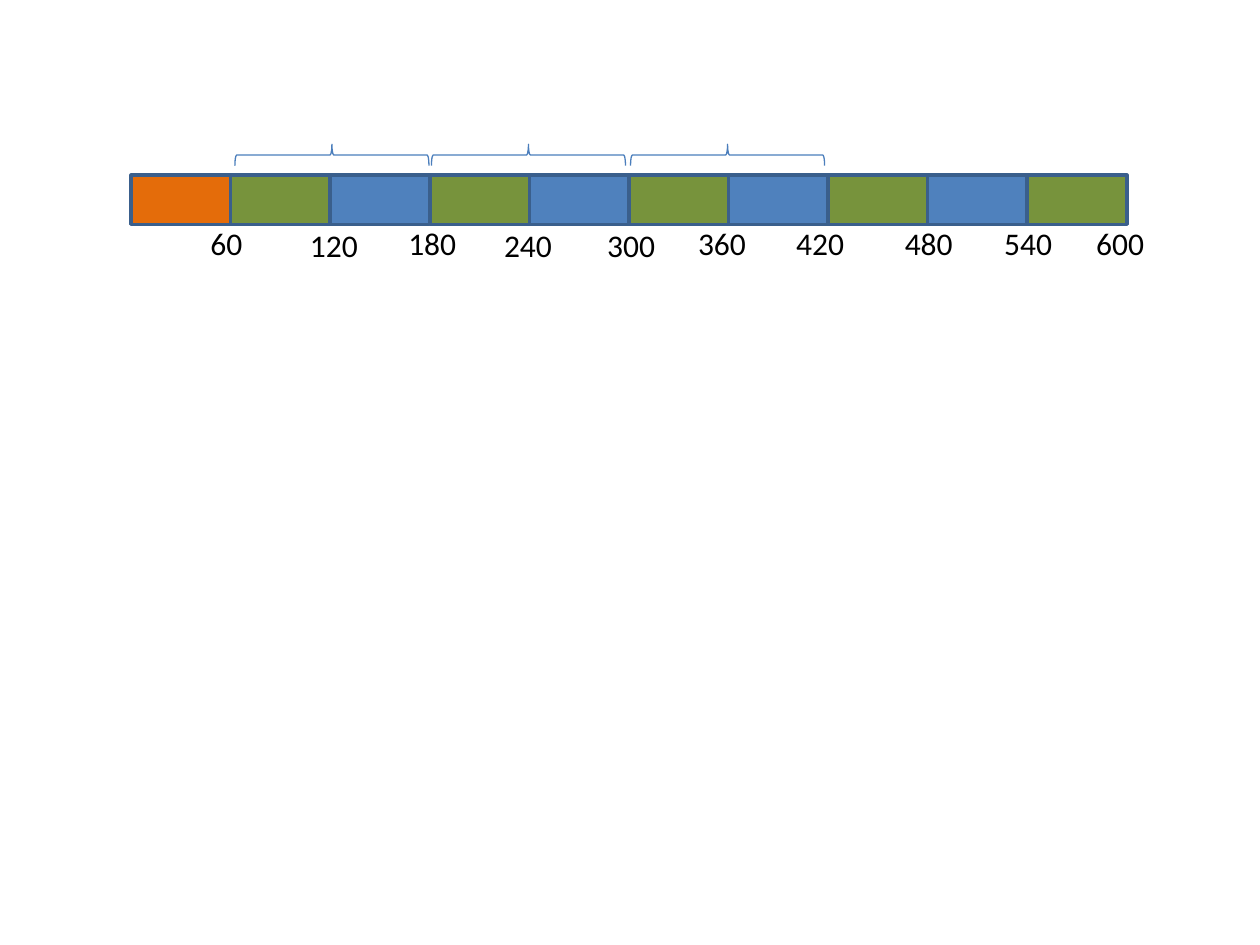
from pptx import Presentation
from pptx.dml.color import RGBColor
from pptx.enum.shapes import MSO_SHAPE
from pptx.enum.text import MSO_AUTO_SIZE
from pptx.util import Pt

COLORS = {
    "orange": "E46C0A",
    "green": "77933C",
    "blue": "4F81BD",
    "outline": "3A5F8C",
    "brace": "4B7EBC",
    "text": "000000",
}
SEGMENT_LEFT, SEGMENT_TOP = 74.9, 100.1
SEGMENT_WIDTH, SEGMENT_HEIGHT = 56.9, 28.1
STEP = 60


def color(name):
    return RGBColor.from_string(COLORS[name])


def add_outlined(kind, left, top, width, height, line_color, line_width):
    shape = slide.shapes.add_shape(kind, Pt(left), Pt(top), Pt(width), Pt(height))
    shape.shadow.inherit = False
    shape.line.color.rgb = color(line_color)
    shape.line.width = Pt(line_width)
    return shape


presentation = Presentation()
presentation.slide_width = Pt(720)
presentation.slide_height = Pt(540)
slide = presentation.slides.add_slide(presentation.slide_layouts[6])

segment_colors = ["orange"] + ["green", "blue"] * 4 + ["green"]
for index, fill_color in enumerate(segment_colors):
    segment = add_outlined(
        MSO_SHAPE.RECTANGLE, SEGMENT_LEFT + index * SEGMENT_WIDTH, SEGMENT_TOP,
        SEGMENT_WIDTH, SEGMENT_HEIGHT, "outline", 2,
    )
    segment.fill.solid()
    segment.fill.fore_color.rgb = color(fill_color)

label_lefts = [120.2, 177.1, 233.3, 288, 347, 398.9, 455, 517, 573.8, 626.4]
lower_labels = (120, 240, 300)
for number, left in enumerate(label_lefts, start=1):
    value = number * STEP
    top = 128.9 if value in lower_labels else 128.2
    width = 9.13 * len(str(value))
    label = slide.shapes.add_textbox(Pt(left), Pt(top), Pt(width), Pt(21.6))
    frame = label.text_frame
    frame.margin_left = frame.margin_right = frame.margin_top = frame.margin_bottom = 0
    frame.word_wrap = False
    frame.auto_size = MSO_AUTO_SIZE.SHAPE_TO_FIT_TEXT
    paragraph = frame.paragraphs[0]
    paragraph.text = str(value)
    paragraph.font.name = "Calibri"
    paragraph.font.size = Pt(18)
    paragraph.font.color.rgb = color("text")

for left in (183.6, 295.9, 409.7):
    brace = add_outlined(MSO_SHAPE.RIGHT_BRACE, left, 33.1, 12.2, 110.9, "brace", 0.75)
    brace.fill.background()
    brace.rotation = 270

presentation.save("out.pptx")
